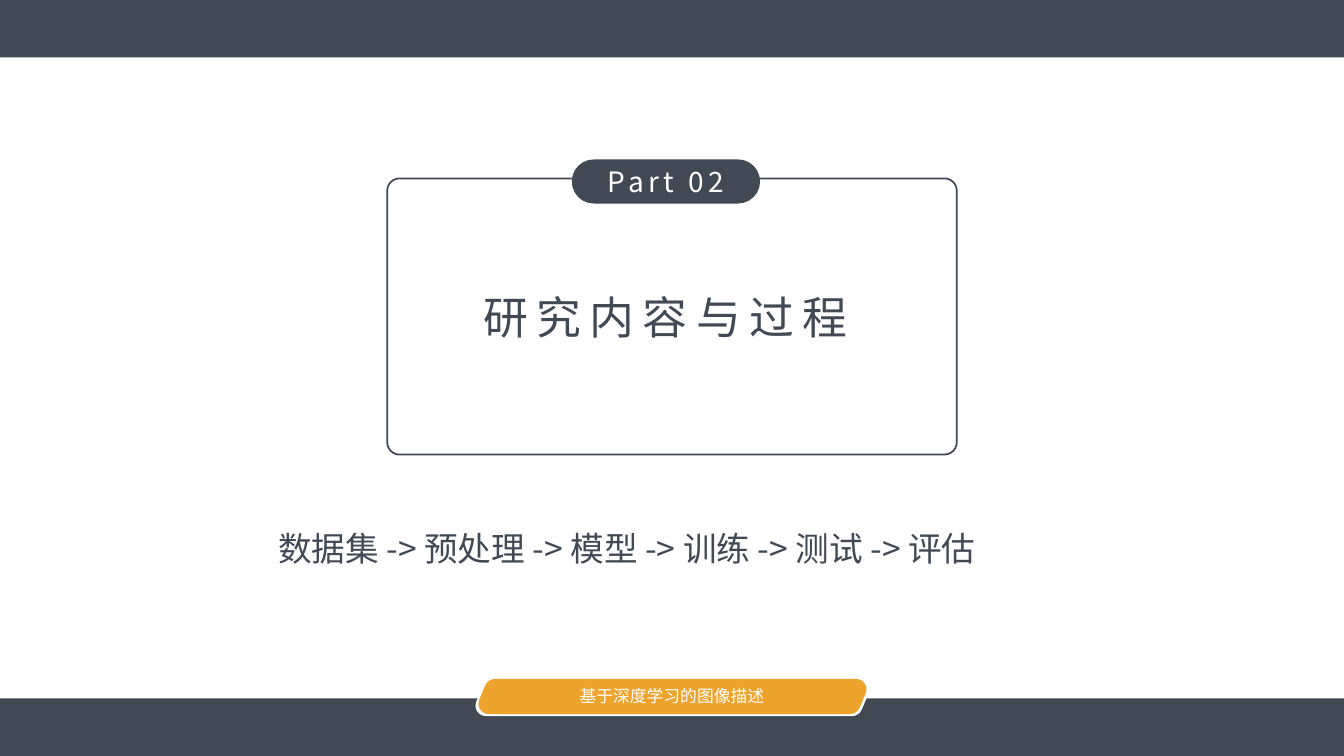
from lxml import etree
from pptx import Presentation, util as u
from pptx.dml.color import RGBColor
from pptx.enum import shapes, text
from pptx.oxml.ns import qn

W, H = 13.33, 7.5
SLATE, AMBER, WHITE = "414955", "EDA32C", "FFFFFF"
FONT = "Noto Sans CJK SC"
BAR = 0.57
MS = shapes.MSO_SHAPE

prs = Presentation()
prs.slide_width, prs.slide_height = u.Inches(W), u.Inches(H)
s = prs.slides.add_slide(prs.slide_layouts[5])


def add_shape(kind, box, fill=None, line=None, width=1.25, adj=None):
    sp = s.shapes.add_shape(kind, *[u.Inches(v) for v in box])
    sp.shadow.inherit = False
    for part, color in ((sp.fill, fill), (sp.line.fill, line)):
        if color:
            part.solid()
            part.fore_color.rgb = RGBColor.from_string(color)
        else:
            part.background()
    if line:
        sp.line.width = u.Pt(width)
        etree.SubElement(sp.line._ln, qn("a:round"))
    if adj is not None:
        sp.adjustments[0] = adj
    return sp


def write(sp, content, size, color=SLATE, align=text.PP_ALIGN.CENTER, spacing=0):
    """Fill a shape with one line of text; spacing between letters is in points."""
    tf = sp.text_frame
    tf.auto_size = text.MSO_AUTO_SIZE.NONE
    tf.word_wrap = True
    tf.vertical_anchor = text.MSO_ANCHOR.MIDDLE
    tf.margin_top = tf.margin_bottom = 0
    p = tf.paragraphs[0]
    p.alignment = align
    r = p.add_run()
    r.text = content
    r.font.size, r.font.name = u.Pt(size), FONT
    r.font.color.rgb = RGBColor.from_string(color)
    rPr = r._r.get_or_add_rPr()
    etree.SubElement(rPr, qn("a:ea")).set("typeface", FONT)
    if spacing:
        rPr.set("spc", str(100 * spacing))


# Bars and footer badge
add_shape(MS.RECTANGLE, (0, H - BAR, W, BAR), fill=SLATE)
for box, color in (((4.82, 6.86, 3.69, 0.14), WHITE), ((4.85, 6.84, 3.64, 0.14), AMBER)):
    add_shape(MS.PARALLELOGRAM, box, fill=color, line=color, width=15, adj=0.427)
add_shape(MS.RECTANGLE, (0, 0, W, BAR), fill=SLATE)
badge = add_shape(MS.ROUNDED_RECTANGLE, (5.25, 6.74, 2.83, 0.33))
write(badge, "基于深度学习的图像描述", 12, WHITE)

# Section frame, title and part number
add_shape(MS.ROUNDED_RECTANGLE, (3.84, 1.77, 5.65, 2.74), line=SLATE, adj=0.045)
title = s.shapes.title
title.left, title.top, title.width, title.height = [u.Inches(v) for v in (4.38, 2.82, 4.44, 0.64)]
write(title, "研究内容与过程", 32, spacing=6)
part = add_shape(MS.ROUNDED_RECTANGLE, (5.68, 1.59, 1.85, 0.42), fill=SLATE, line=SLATE, adj=0.5)
write(part, "Part 02", 20, WHITE, spacing=3)

# Workflow
steps = ["数据集", "预处理", "模型", "训练", "测试", "评估"]
flow = s.shapes.add_textbox(*[u.Inches(v) for v in (2.66, 5.19, 8.32, 0.5)])
write(flow, " -> ".join(steps), 24, align=text.PP_ALIGN.LEFT)

prs.save("out.pptx")
